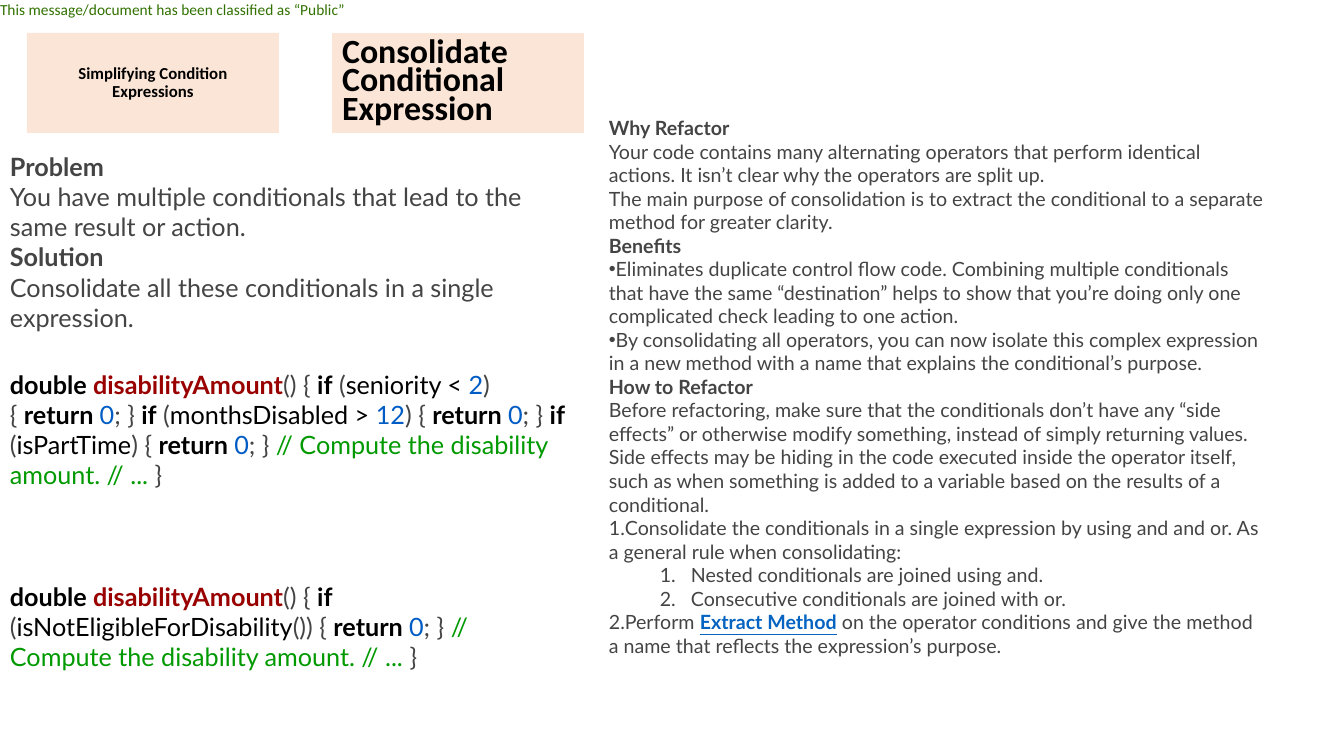
from lxml.etree import SubElement
from pptx import Presentation
from pptx.dml.color import RGBColor
from pptx.enum.shapes import MSO_SHAPE
from pptx.enum.text import MSO_ANCHOR, MSO_AUTO_SIZE, PP_ALIGN
from pptx.oxml.ns import qn
from pptx.util import Emu, Pt

SCALE = 914400 / 100.8
BLACK = RGBColor(0x00, 0x00, 0x00)
GREY = RGBColor(0x44, 0x44, 0x44)
PEACH = RGBColor(0xFB, 0xE5, 0xD6)
MOSS = RGBColor(0x31, 0x71, 0x00)
RED = RGBColor(0x99, 0x00, 0x00)
BLUE = RGBColor(0x00, 0x5C, 0xC5)
GREEN = RGBColor(0x00, 0x99, 0x00)
LINK = RGBColor(0x05, 0x63, 0xC1)

# Code styles: colour, bold
KEY, NAME, MARK = (BLACK, True), (RED, True), (GREY, False)
WORD, NUM, NOTE = (BLACK, False), (BLUE, False), (GREEN, False)

HEAD = [(KEY, "double "), (NAME, "disabilityAmount"), (MARK, "() { ")]
ZERO = [(KEY, "return "), (NUM, "0"), (MARK, "; } ")]
TAIL = [(NOTE, "// Compute the disability amount. // ..."), (MARK, " }")]
TEST = [(KEY, "if"), (MARK, " (")]

BEFORE = [
    *HEAD,
    *TEST, (WORD, "seniority < "), (NUM, "2"), (MARK, ") { "), *ZERO,
    *TEST, (WORD, "monthsDisabled > "), (NUM, "12"), (MARK, ") { "), *ZERO,
    *TEST, (WORD, "isPartTime"), (MARK, ") { "), *ZERO,
    *TAIL,
]
AFTER = [
    *HEAD,
    *TEST, (WORD, "isNotEligibleForDisability"), (MARK, "()) { "), *ZERO,
    *TAIL,
]

GOAL = [
    ("head", "Problem"),
    ("text", "You have multiple conditionals that lead to the same result or action."),
    ("head", "Solution"),
    ("text", "Consolidate all these conditionals in a single expression."),
]
GUIDE = [
    ("head", "Why Refactor"),
    ("text", "Your code contains many alternating operators that perform identical "
             "actions. It isn’t clear why the operators are split up."),
    ("text", "The main purpose of consolidation is to extract the conditional to a "
             "separate method for greater clarity."),
    ("head", "Benefits"),
    ("dot", "Eliminates duplicate control flow code. Combining multiple conditionals "
            "that have the same “destination” helps to show that you’re doing only "
            "one complicated check leading to one action."),
    ("dot", "By consolidating all operators, you can now isolate this complex "
            "expression in a new method with a name that explains the "
            "conditional’s purpose."),
    ("head", "How to Refactor"),
    ("text", "Before refactoring, make sure that the conditionals don’t have any "
             "“side effects” or otherwise modify something, instead of simply "
             "returning values. Side effects may be hiding in the code executed "
             "inside the operator itself, such as when something is added to a "
             "variable based on the results of a conditional."),
    ("step", "Consolidate the conditionals in a single expression by using and and "
             "or. As a general rule when consolidating:"),
    ("sub", "Nested conditionals are joined using and."),
    ("sub", "Consecutive conditionals are joined with or."),
    ("step", "Perform "),
]


def px(n):
    return Emu(round(n * SCALE))


def style(para, face, size, color, bold=False):
    font = para.font
    font.name, font.size, font.bold = face, Pt(size), bold
    font.color.rgb = color


def add_run(para, text, color, bold):
    run = para.add_run()
    run.text = text
    run.font.color.rgb = color
    run.font.bold = bold
    return run


def add_box(slide, x, y, w, h):
    frame = slide.shapes.add_textbox(px(x), px(y), px(w), px(h)).text_frame
    frame.word_wrap = True
    return frame


def next_para(frame, i):
    return frame.add_paragraph() if i else frame.paragraphs[0]


def add_mark(para, kind):
    """Give a paragraph its bullet or number, and its indent."""
    props = para._p.get_or_add_pPr()
    left, hang = (82, -31) if kind == "sub" else (0, 0)
    props.set("marL", str(px(left)))
    props.set("indent", str(px(hang)))
    if kind == "dot":
        SubElement(props, qn("a:buFont")).set("typeface", "Arial")
        SubElement(props, qn("a:buChar")).set("char", "•")
    else:
        SubElement(props, qn("a:buAutoNum")).set("type", "arabicPeriod")
    if kind == "sub":
        para.level = 1


def add_prose(slide, x, y, w, h, items, size):
    frame = add_box(slide, x, y, w, h)
    for i, (kind, text) in enumerate(items):
        para = next_para(frame, i)
        if kind in ("dot", "step", "sub"):
            add_mark(para, kind)
        para.text = text
        style(para, "Lato", size, GREY, kind == "head")
    return frame


def add_code(slide, x, y, w, h, blocks, gap):
    frame = add_box(slide, x, y, w, h)
    for i, block in enumerate(blocks):
        para = next_para(frame, i)
        if i:
            para.space_before = Pt(gap)
        para.font.name, para.font.size = "Lato", Pt(18)
        for (color, bold), text in block:
            add_run(para, text, color, bold)


def fill_card(card, x, text, size, align, space):
    """Place a peach card in the top row and write its text."""
    card.left, card.top, card.width, card.height = map(px, (x, 33, 252, 100))
    card.fill.solid()
    card.fill.fore_color.rgb = PEACH
    card.line.fill.background()
    frame = card.text_frame
    frame.word_wrap = True
    frame.auto_size = MSO_AUTO_SIZE.NONE
    frame.vertical_anchor = MSO_ANCHOR.MIDDLE
    para = frame.paragraphs[0]
    para.text = text
    para.alignment, para.line_spacing = align, space
    style(para, "Calibri", size, BLACK, True)


def add_label(slide, text):
    frame = add_box(slide, 0, 0, 378, 18)
    frame.margin_left = frame.margin_right = 0
    frame.margin_top = frame.margin_bottom = 0
    frame.text = text
    style(frame.paragraphs[0], "Calibri", 11, MOSS)


def main():
    deck = Presentation()
    deck.slide_width, deck.slide_height = px(1344), px(756)
    slide = deck.slides.add_slide(deck.slide_layouts[5])

    add_label(slide, "This message/document has been classified as “Public”")
    topic = slide.shapes.add_shape(MSO_SHAPE.RECTANGLE, 0, 0, 0, 0)
    topic.shadow.inherit = False
    fill_card(topic, 27, "Simplifying Condition Expressions", 12, PP_ALIGN.CENTER, 0.9)
    fill_card(slide.shapes.title, 332, "Consolidate Conditional Expression",
              24.2, PP_ALIGN.LEFT, 0.7)

    add_prose(slide, 0, 146, 585, 194, GOAL, 18)
    add_code(slide, 0, 364, 585, 316, [BEFORE, AFTER], 65)
    guide = add_prose(slide, 599, 111, 676, 556, GUIDE, 14)
    last = guide.paragraphs[-1]
    add_run(last, "Extract Method", LINK, True).font.underline = True
    add_run(last, " on the operator conditions and give the method a name that "
                  "reflects the expression’s purpose.", GREY, False)

    deck.save("out.pptx")


if __name__ == "__main__":
    main()
